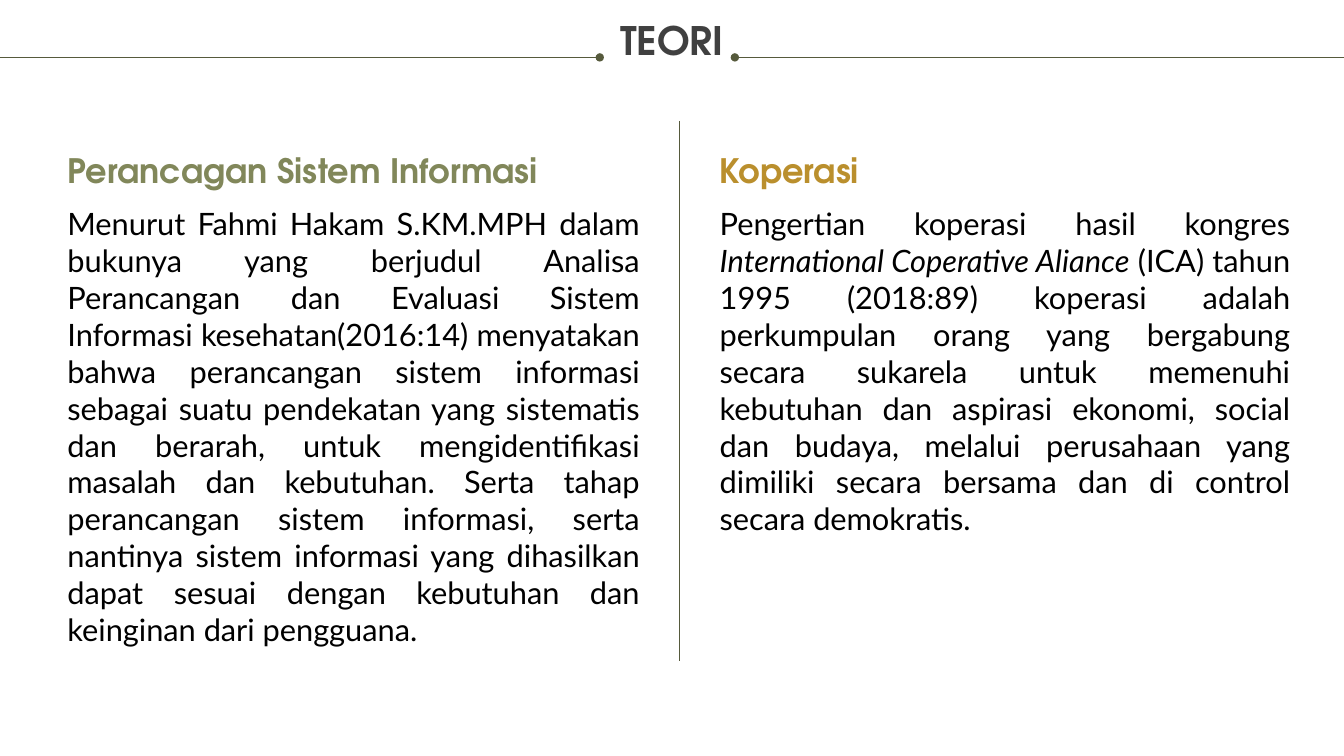
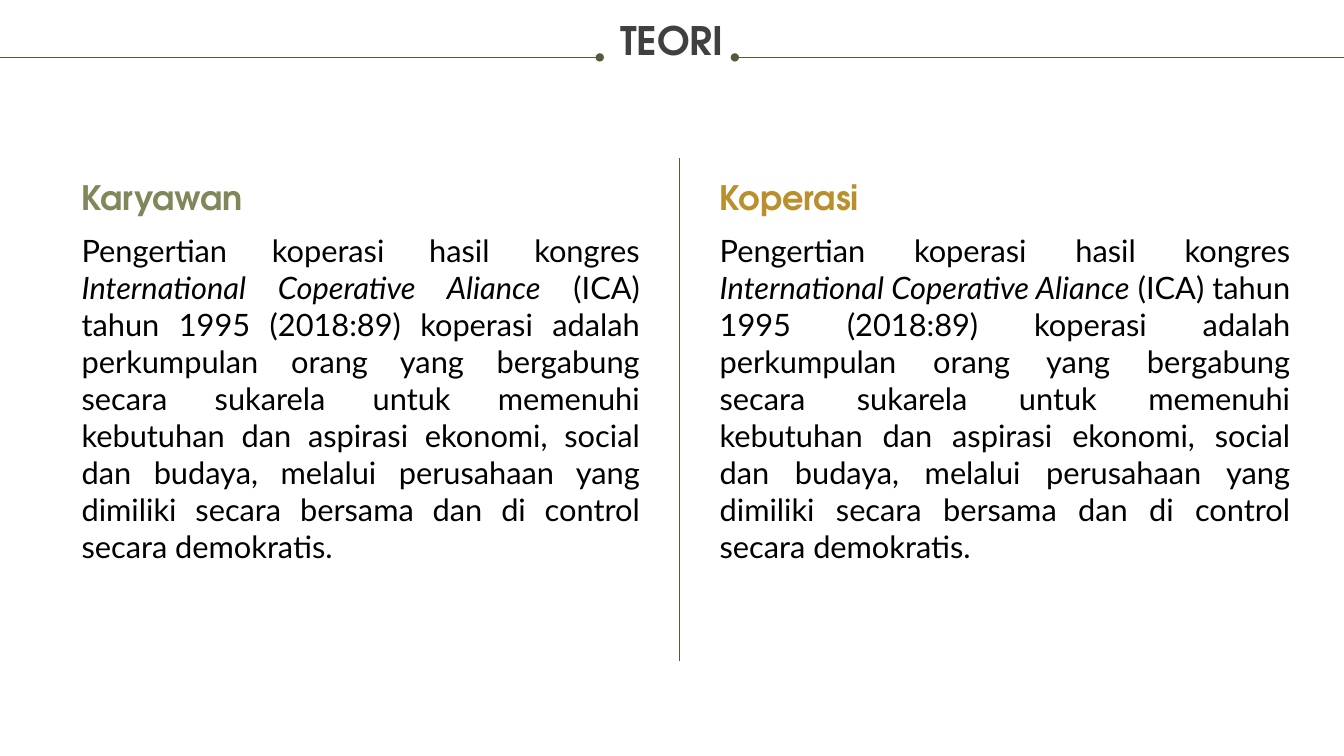
"""Build two theory slides, each with a ruled title and two text columns."""
import pptx
import pptx.dml.color
import pptx.enum.shapes
import pptx.enum.text
import pptx.util
from lxml import etree
from pptx.oxml.ns import qn

Pt = pptx.util.Pt
ALIGN = pptx.enum.text.PP_ALIGN

COLORS = {"rule": "565A3C", "title": "404040", "body": "000000", "olive": "81875A", "gold": "BA8F2D"}
HEADING_FONT = "TeX Gyre Adventor"
STYLES = {
    "title": {"name": HEADING_FONT, "size": Pt(28), "bold": True},
    "heading": {"name": HEADING_FONT, "size": Pt(24), "bold": True},
    "body": {"name": "Lato", "size": Pt(22), "bold": False},
}
PARAGRAPHS = {
    "title": {"alignment": ALIGN.CENTER, "line_spacing": 0.9},
    "heading": {"alignment": ALIGN.LEFT, "line_spacing": Pt(19)},
    "body": {"alignment": ALIGN.JUSTIFY},
}

DESIGN = [
    ("Menurut Fahmi Hakam S.KM.MPH dalam bukunya yang berjudul Analisa Perancangan dan Evaluasi "
     "Sistem Informasi kesehatan(2016:14) menyatakan bahwa perancangan sistem informasi sebagai "
     "suatu pendekatan yang sistematis dan berarah, untuk mengidentifikasi masalah dan kebutuhan. "
     "Serta tahap perancangan sistem informasi, serta nantinya sistem informasi yang dihasilkan "
     "dapat sesuai dengan kebutuhan dan keinginan dari pengguana.", False),
]
COOPERATIVE = [
    ("Pengertian koperasi hasil kongres ", False),
    ("International Coperative Aliance", True),
    (" (ICA) tahun 1995 (2018:89) koperasi adalah perkumpulan orang yang bergabung secara sukarela "
     "untuk memenuhi kebutuhan dan aspirasi ekonomi, social dan budaya, melalui perusahaan yang "
     "dimiliki secara bersama dan di control secara demokratis.", False),
]
SLIDES = [
    {"title": "TEORI", "divider_top": 86.4, "heading_top": 116.6, "left": 48.2,
     "columns": [("Perancagan Sistem Informasi", DESIGN), ("Koperasi", COOPERATIVE)]},
    {"title": "TEORI", "divider_top": 113, "heading_top": 136.1, "left": 58.3,
     "columns": [("Karyawan", COOPERATIVE), ("Koperasi", COOPERATIVE)]},
]

SLIDE_WIDTH, SLIDE_HEIGHT = 960, 540
TITLE_BOX = (18, 15.1, SLIDE_WIDTH - 36, 30.2)
RULE_Y = 41
DIVIDER_X, DIVIDER_BOTTOM = 485.3, 472.3
LEFT_COLUMN_END = 457
RIGHT_COLUMN = (514.1, 921.6)
HEADING_HEIGHT, BODY_OFFSET, BODY_HEIGHT = 19.4, 29.5, 290


def set_values(target, values):
    """Set every named attribute on the target."""
    for name, value in values.items():
        setattr(target, name, value)


def add_text(slide, box, runs, style, color):
    """Add a text box without margins, holding one paragraph of (text, italic) runs."""
    frame = slide.shapes.add_textbox(*map(Pt, box)).text_frame
    set_values(frame, {"word_wrap": True, "margin_left": 0, "margin_top": 0, "margin_right": 0,
                       "margin_bottom": 0, "auto_size": pptx.enum.text.MSO_AUTO_SIZE.SHAPE_TO_FIT_TEXT})
    paragraph = frame.paragraphs[0]
    set_values(paragraph, PARAGRAPHS[style])
    for text, italic in runs:
        run = paragraph.add_run()
        run.text = text
        set_values(run.font, {**STYLES[style], "italic": italic})
        run.font.color.rgb = pptx.dml.color.RGBColor.from_string(COLORS[color])


def add_rule(slide, start, end, dot=None):
    """Add a thin line, with a round dot at its headEnd or tailEnd if asked."""
    connector = slide.shapes.add_connector(
        pptx.enum.shapes.MSO_CONNECTOR.STRAIGHT, *map(Pt, start + end))
    connector.line.width = Pt(0.5)
    connector.line.color.rgb = pptx.dml.color.RGBColor.from_string(COLORS["rule"])
    if dot:
        etree.SubElement(connector.line._get_or_add_ln(), qn(f"a:{dot}"), type="oval")
    etree.SubElement(connector._element.spPr, qn("a:effectLst"))


def add_title(slide, title):
    """Add the centred title between two dotted rules."""
    add_rule(slide, (0, RULE_Y), (428.4, RULE_Y), "tailEnd")
    add_rule(slide, (524.9, RULE_Y), (SLIDE_WIDTH, RULE_Y), "headEnd")
    add_text(slide, TITLE_BOX, [(title, False)], "title", "title")


def add_columns(slide, content):
    """Add the divider and the two columns of heading and body."""
    add_rule(slide, (DIVIDER_X, content["divider_top"]), (DIVIDER_X, DIVIDER_BOTTOM))
    spans = [(content["left"], LEFT_COLUMN_END), RIGHT_COLUMN]
    top = content["heading_top"]
    for (heading, body), (left, right), color in zip(content["columns"], spans, ("olive", "gold")):
        width = right - left
        add_text(slide, (left, top, width, HEADING_HEIGHT), [(heading, False)], "heading", color)
        add_text(slide, (left, top + BODY_OFFSET, width, BODY_HEIGHT), body, "body", "body")


def main():
    """Build and save the presentation."""
    presentation = pptx.Presentation()
    set_values(presentation, {"slide_width": Pt(SLIDE_WIDTH), "slide_height": Pt(SLIDE_HEIGHT)})
    for content in SLIDES:
        slide = presentation.slides.add_slide(presentation.slide_layouts[6])
        add_title(slide, content["title"])
        add_columns(slide, content)
    presentation.save("out.pptx")


if __name__ == "__main__":
    main()
